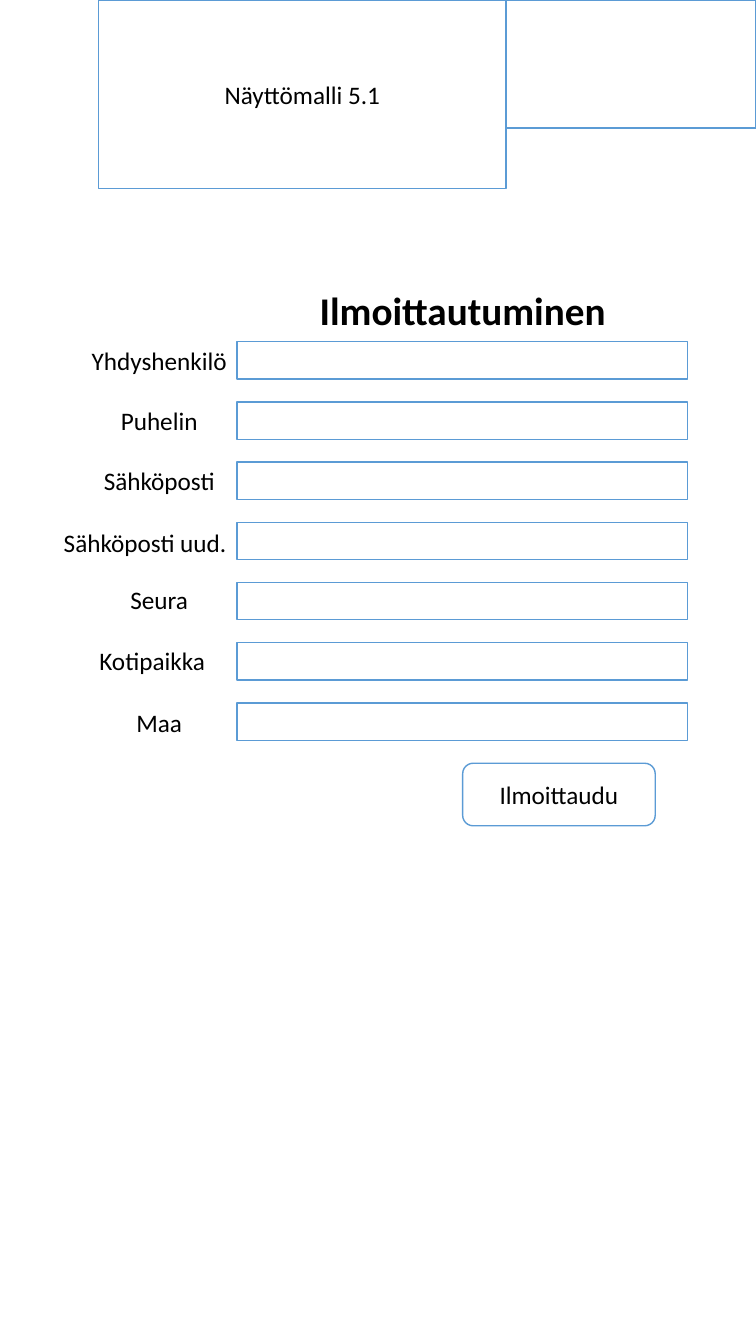
"""Build a phone-sized registration form with a title, labelled fields and a button."""
from dataclasses import dataclass

from pptx import Presentation
from pptx.dml.color import RGBColor
from pptx.enum.shapes import MSO_SHAPE as Shape
from pptx.enum.text import MSO_ANCHOR as Anchor, MSO_AUTO_SIZE as AutoSize, PP_ALIGN as Align
from pptx.shapes.autoshape import Shape as SlideShape
from pptx.slide import Slide
from pptx.util import Inches, Length, Pt


@dataclass(frozen=True)
class Theme:
    font: str = "Calibri"
    text: RGBColor = RGBColor(0, 0, 0)
    fill: RGBColor = RGBColor(255, 255, 255)
    outline: RGBColor = RGBColor.from_string("5B9BD5")
    outline_width: Length = Pt(1)
    body_size: Length = Pt(18)
    title_size: Length = Pt(28)


@dataclass(frozen=True)
class Area:
    column: float
    row: float
    columns: float
    rows: float

    def lengths(self) -> tuple[Length, ...]:
        return tuple(Inches(cells * CELL) for cells in (self.column, self.row, self.columns, self.rows))


@dataclass(frozen=True)
class Panel:
    area: Area
    text: str = ""
    preset: Shape = Shape.RECTANGLE


@dataclass(frozen=True)
class Field:
    label: str
    center: float = 15.8
    rise: float = 0.2


CELL = 0.1
THEME = Theme()
TITLE_AREA = Area(30.5, 27.9, 30.8, 5.7)
HEADER_PANELS = (
    Panel(Area(50.2, 0, 24.8, 12.7)),
    Panel(Area(9.8, 0, 40.4, 18.7), "Näyttömalli 5.1"),
)
BUTTON = Panel(Area(45.9, 75.7, 19.1, 6.2), "Ilmoittaudu", Shape.ROUNDED_RECTANGLE)
FIELDS = (
    Field("Yhdyshenkilö", rise=0.1),
    Field("Puhelin"),
    Field("Sähköposti"),
    Field("Sähköposti uud.", center=14.4, rise=0),
    Field("Seura", rise=0.3),
    Field("Kotipaikka", center=15.1),
    Field("Maa", rise=0.1),
)
FIRST_ROW, ROW_STEP = 33.9, 5.97
INPUT_COLUMN, INPUT_COLUMNS, INPUT_ROWS = 23.5, 44.7, 3.7
LABEL_COLUMNS, LABEL_ROWS = 19.6, 4


def write(shape: SlideShape, text: str, size: Length, anchor: Anchor, bold: bool = False) -> None:
    frame = shape.text_frame
    frame.text = text
    frame.word_wrap = False
    frame.auto_size = AutoSize.NONE
    frame.vertical_anchor = anchor
    paragraph = frame.paragraphs[0]
    paragraph.alignment = Align.CENTER
    font = paragraph.font
    font.name, font.size, font.bold = THEME.font, size, bold
    font.color.rgb = THEME.text


def draw_panel(slide: Slide, panel: Panel) -> None:
    shape = slide.shapes.add_shape(panel.preset, *panel.area.lengths())
    shape.shadow.inherit = False
    shape.fill.solid()
    shape.fill.fore_color.rgb = THEME.fill
    shape.line.color.rgb = THEME.outline
    shape.line.width = THEME.outline_width
    if panel.text:
        write(shape, panel.text, THEME.body_size, Anchor.MIDDLE)


def draw_field(slide: Slide, field: Field, row: float) -> None:
    draw_panel(slide, Panel(Area(INPUT_COLUMN, row, INPUT_COLUMNS, INPUT_ROWS)))
    area = Area(field.center - LABEL_COLUMNS / 2, row - field.rise, LABEL_COLUMNS, LABEL_ROWS)
    label = slide.shapes.add_textbox(*area.lengths())
    write(label, field.label, THEME.body_size, Anchor.TOP)


def draw_title(slide: Slide, text: str) -> None:
    title = slide.shapes.title
    title.left, title.top, title.width, title.height = TITLE_AREA.lengths()
    write(title, text, THEME.title_size, Anchor.TOP, bold=True)


def main() -> None:
    presentation = Presentation()
    presentation.slide_width, presentation.slide_height = Inches(7.5), Inches(13.33)
    slide = presentation.slides.add_slide(presentation.slide_layouts.get_by_name("Title Only"))
    draw_title(slide, "Ilmoittautuminen")
    for panel in HEADER_PANELS:
        draw_panel(slide, panel)
    for index, field in enumerate(FIELDS):
        draw_field(slide, field, FIRST_ROW + index * ROW_STEP)
    draw_panel(slide, BUTTON)
    presentation.save("out.pptx")


main()
